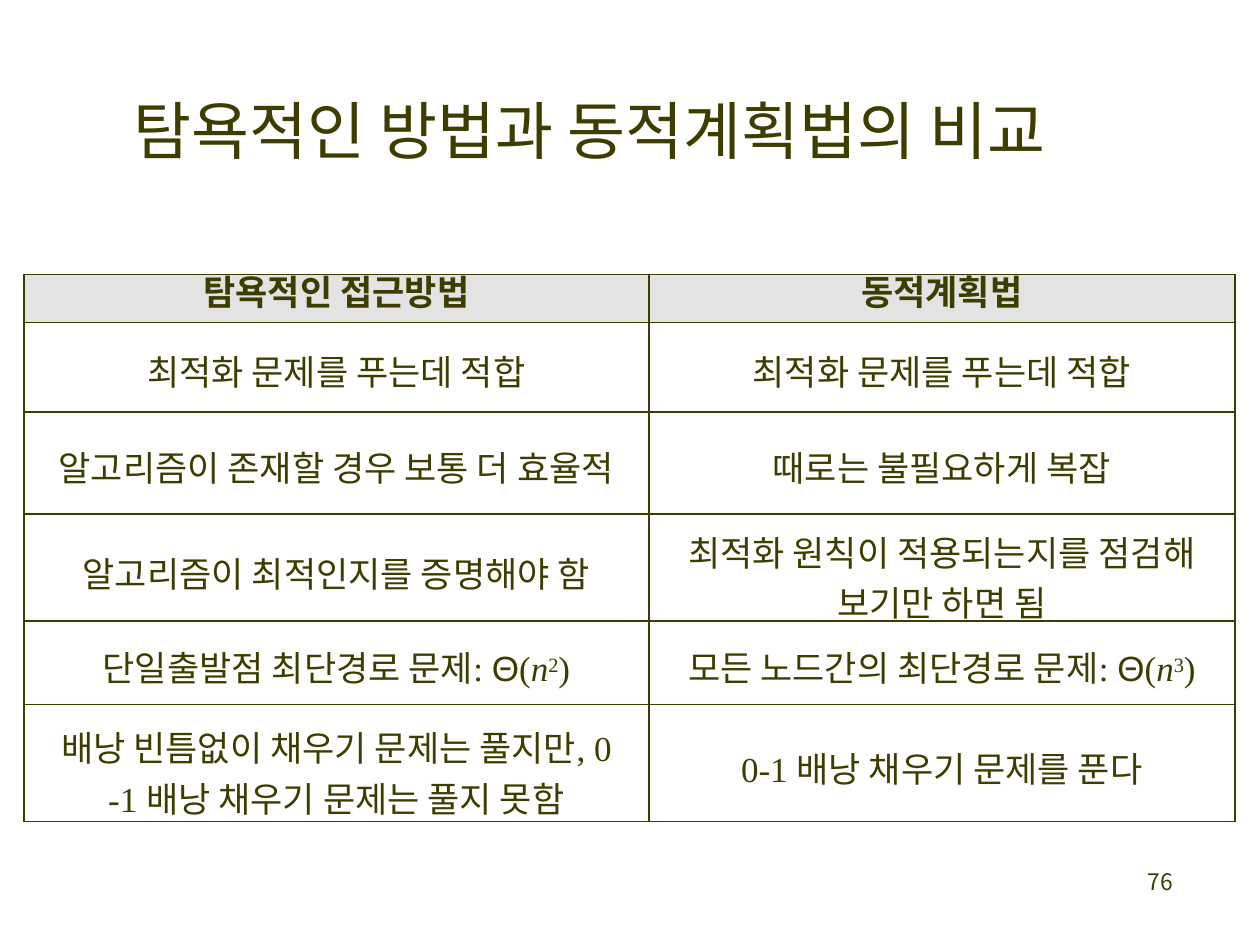
from lxml.etree import SubElement
from pptx import Presentation
from pptx.dml.color import RGBColor
from pptx.enum.text import PP_ALIGN
from pptx.oxml.ns import qn
from pptx.util import Inches, Pt

OLIVE = RGBColor(0x3E, 0x3D, 0x00)
HEADER_GREY = RGBColor(0xE3, 0xE3, 0xE3)
KOREAN, SERIF, SANS = "Noto Sans CJK KR", "Times New Roman", "Arial"

COLUMN_WIDTHS = (4.96, 4.65)
ROW_HEIGHTS = (0.38, 0.71, 0.81, 0.85, 0.66, 0.93)


def complexity(problem, exponent):
    """Runs for a problem name followed by its order, Θ(n to the exponent)."""
    return [(problem, KOREAN), (": ", SERIF), ("Θ", SANS), ("(", SERIF),
            ("n", SERIF, "italic"), (exponent, SERIF, "superscript"), (")", SERIF)]


def korean(words):
    return [(words, KOREAN)]


# Each cell is its top margin followed by its lines, each a list of runs.
COMPARISON = (
    ((0, korean("탐욕적인 접근방법")), (0, korean("동적계획법"))),
    ((0.18, korean("최적화 문제를 푸는데 적합")),
     (0.18, korean("최적화 문제를 푸는데 적합"))),
    ((0.23, korean("알고리즘이 존재할 경우 보통 더 효율적")),
     (0.23, korean("때로는 불필요하게 복잡"))),
    ((0.26, korean("알고리즘이 최적인지를 증명해야 함")),
     (0.09, korean("최적화 원칙이 적용되는지를 점검해"), korean("보기만 하면 됨"))),
    ((0.16, complexity("단일출발점 최단경로 문제", "2")),
     (0.16, complexity("모든 노드간의 최단경로 문제", "3"))),
    ((0.13, [("배낭 빈틈없이 채우기 문제는 풀지만", KOREAN), (", 0", SERIF)],
      [("-1 ", SERIF), ("배낭 채우기 문제는 풀지 못함", KOREAN)]),
     (0.3, [("0-1 ", SERIF), ("배낭 채우기 문제를 푼다", KOREAN)])),
)


class SlideBuilder:
    def __init__(self, slide):
        self.slide = slide

    def style_run(self, run, size, face=KOREAN, bold=False, variant=None):
        font = run.font
        font.name, font.size, font.bold = face, Pt(size), bold
        font.color.rgb = OLIVE
        properties = font._element
        SubElement(properties, qn("a:ea"), typeface=KOREAN)
        if variant == "italic":
            font.italic = True
        elif variant == "superscript":
            properties.set("baseline", "26000")

    def text(self, words, left, top, width, height, size):
        box = self.slide.shapes.add_textbox(
            Inches(left), Inches(top), Inches(width), Inches(height))
        frame = box.text_frame
        frame.word_wrap = True
        frame.margin_left = frame.margin_right = 0
        frame.margin_top = frame.margin_bottom = 0
        frame.text = words
        self.style_run(frame.paragraphs[0].runs[0], size)
        return frame.paragraphs[0]

    def border(self, cell):
        properties = cell._tc.get_or_add_tcPr()
        for side in ("a:lnL", "a:lnR", "a:lnT", "a:lnB"):
            line = SubElement(properties, qn(side), w=str(Pt(1)))
            fill = SubElement(line, qn("a:solidFill"))
            SubElement(fill, qn("a:srgbClr"), val=str(OLIVE))

    def cell(self, cell, margin_top, lines, header):
        self.border(cell)
        if header:
            cell.fill.solid()
            cell.fill.fore_color.rgb = HEADER_GREY
        else:
            cell.fill.background()
        cell.margin_left = cell.margin_right = cell.margin_bottom = 0
        cell.margin_top = Inches(margin_top)
        frame = cell.text_frame
        for index, line in enumerate(lines):
            paragraph = frame.add_paragraph() if index else frame.paragraphs[0]
            paragraph.alignment = PP_ALIGN.CENTER
            if header:
                paragraph.line_spacing = Pt(23.6)
            for words, face, *variant in line:
                run = paragraph.add_run()
                run.text = words
                self.style_run(run, 20, face, header, *variant)

    def table(self, rows, left, top):
        table = self.slide.shapes.add_table(
            len(ROW_HEIGHTS), len(COLUMN_WIDTHS), Inches(left), Inches(top),
            Inches(sum(COLUMN_WIDTHS)), Inches(sum(ROW_HEIGHTS))).table
        table.first_row = table.horz_banding = False
        for column, width in zip(table.columns, COLUMN_WIDTHS):
            column.width = Inches(width)
        for r, (row, height) in enumerate(zip(rows, ROW_HEIGHTS)):
            table.rows[r].height = Inches(height)
            for c, (margin_top, *lines) in enumerate(row):
                self.cell(table.cell(r, c), margin_top, lines, header=r == 0)


def main():
    deck = Presentation()
    deck.slide_width, deck.slide_height = Inches(10), Inches(7.5)
    builder = SlideBuilder(deck.slides.add_slide(deck.slide_layouts[6]))
    builder.text("탐욕적인 방법과 동적계획법의 비교", 1.06, 0.73, 7.9, 0.63, 36)
    builder.table(COMPARISON, 0.19, 2.18)
    page_number = builder.text("76", 9.11, 6.9, 0.25, 0.21, 13)
    page_number.line_spacing = Pt(14.7)
    deck.save("out.pptx")


if __name__ == "__main__":
    main()
